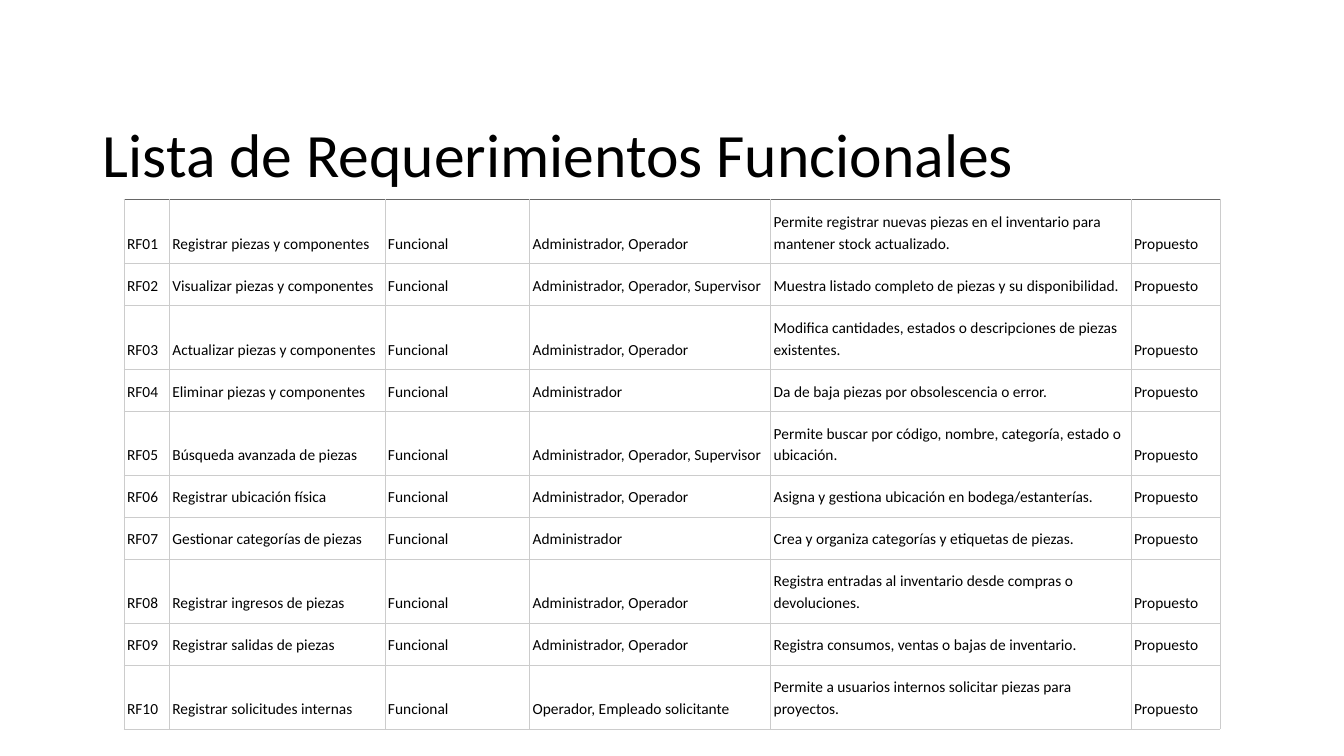
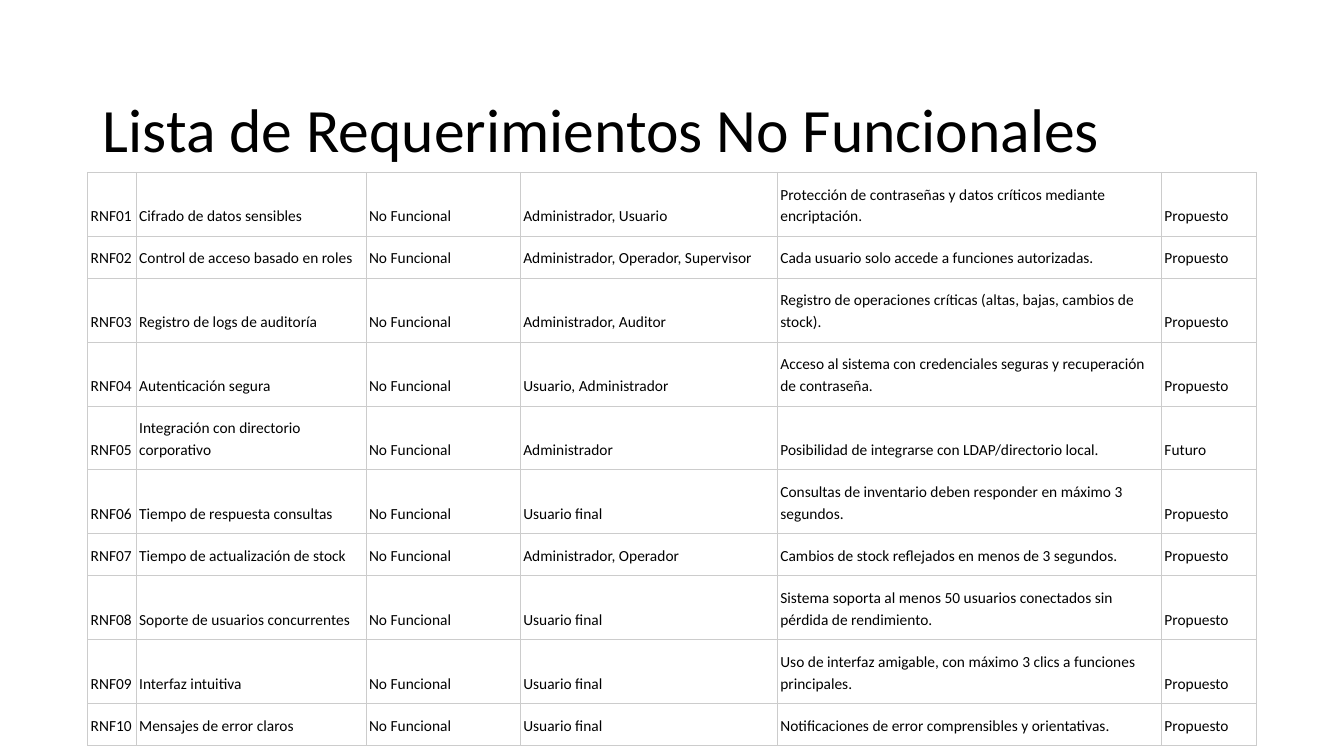
from dataclasses import dataclass

from lxml import etree
from pptx import Presentation
from pptx.dml.color import RGBColor
from pptx.enum.text import MSO_ANCHOR, MSO_AUTO_SIZE, PP_ALIGN
from pptx.oxml.ns import qn
from pptx.util import Inches, Pt

LEFT = PP_ALIGN.LEFT
MIDDLE, BOTTOM = MSO_ANCHOR.MIDDLE, MSO_ANCHOR.BOTTOM
FIXED = MSO_AUTO_SIZE.NONE
TITLE_ONLY = 5


@dataclass(frozen=True)
class Theme:
    font: str = "Calibri"
    ink: str = "000000"
    rule: str = "CCCCCC"
    accent: str = "666666"
    title_size: int = 44
    cell_size: int = 11
    rule_width: float = 0.56
    # Relative column widths: code, name, type, actors, detail, status
    cols: tuple = (48, 228, 153, 255, 381, 94)
    row: float = 0.4


class Deck:
    """Holds the style and the current slide."""

    def __init__(self, theme):
        self.theme = theme
        self.prs = Presentation()
        self.prs.slide_width = Inches(13.33)
        self.prs.slide_height = Inches(7.5)
        self.slide = None

    def style(self, para, size, spacing):
        para.alignment = LEFT
        para.line_spacing = spacing
        para.font.name = self.theme.font
        para.font.size = Pt(size)
        para.font.color.rgb = RGBColor.from_string(self.theme.ink)

    def add_slide(self, title, top, height):
        layout = self.prs.slide_layouts[TITLE_ONLY]
        self.slide = self.prs.slides.add_slide(layout)
        box = self.slide.shapes.title
        box.left, box.top = Inches(0.92), Inches(top)
        box.width, box.height = Inches(11.5), Inches(height)
        frame = box.text_frame
        frame.text = title
        frame.auto_size = FIXED
        frame.vertical_anchor = MIDDLE
        self.style(frame.paragraphs[0], self.theme.title_size, 0.9)

    def borders(self, cell, top):
        props = cell._tc.get_or_add_tcPr()
        rule = self.theme.rule
        for side, color in zip("LRTB", (rule, rule, top, rule)):
            line = etree.SubElement(props, qn(f"a:ln{side}"),
                                    w=str(Pt(self.theme.rule_width)))
            fill = etree.SubElement(line, qn("a:solidFill"))
            etree.SubElement(fill, qn("a:srgbClr"), val=color)

    def fill_cell(self, cell, text, top):
        self.borders(cell, top)
        cell.fill.background()
        cell.margin_left = cell.margin_right = Inches(0.03)
        cell.margin_top = cell.margin_bottom = Inches(0.1)
        cell.vertical_anchor = BOTTOM
        cell.text = text
        self.style(cell.text_frame.paragraphs[0], self.theme.cell_size, 1.15)

    def add_list(self, prefix, kind, rows, left, top, width, edge):
        cols = self.theme.cols
        table = self.slide.shapes.add_table(
            len(rows), len(cols), Inches(left), Inches(top),
            Inches(width), Inches(self.theme.row * len(rows))).table
        table.first_row = table.horz_banding = False
        for col, share in zip(table.columns, cols):
            col.width = Inches(width * share / sum(cols))
        for r, (name, actors, detail, *state) in enumerate(rows):
            status = state[0] if state else "Propuesto"
            texts = (f"{prefix}{r + 1:02}", name, kind, actors, detail, status)
            for c, text in enumerate(texts):
                self.fill_cell(table.cell(r, c), text,
                               self.theme.rule if r else edge)


# Each row: name, actors, detail and, where not "Propuesto", status
FUNCTIONAL = [
    ("Registrar piezas y componentes", "Administrador, Operador",
     "Permite registrar nuevas piezas en el inventario para mantener stock actualizado."),
    ("Visualizar piezas y componentes", "Administrador, Operador, Supervisor",
     "Muestra listado completo de piezas y su disponibilidad."),
    ("Actualizar piezas y componentes", "Administrador, Operador",
     "Modifica cantidades, estados o descripciones de piezas existentes."),
    ("Eliminar piezas y componentes", "Administrador",
     "Da de baja piezas por obsolescencia o error."),
    ("Búsqueda avanzada de piezas", "Administrador, Operador, Supervisor",
     "Permite buscar por código, nombre, categoría, estado o ubicación."),
    ("Registrar ubicación física", "Administrador, Operador",
     "Asigna y gestiona ubicación en bodega/estanterías."),
    ("Gestionar categorías de piezas", "Administrador",
     "Crea y organiza categorías y etiquetas de piezas."),
    ("Registrar ingresos de piezas", "Administrador, Operador",
     "Registra entradas al inventario desde compras o devoluciones."),
    ("Registrar salidas de piezas", "Administrador, Operador",
     "Registra consumos, ventas o bajas de inventario."),
    ("Registrar solicitudes internas", "Operador, Empleado solicitante",
     "Permite a usuarios internos solicitar piezas para proyectos."),
]

QUALITY = [
    ("Cifrado de datos sensibles", "Administrador, Usuario",
     "Protección de contraseñas y datos críticos mediante encriptación."),
    ("Control de acceso basado en roles", "Administrador, Operador, Supervisor",
     "Cada usuario solo accede a funciones autorizadas."),
    ("Registro de logs de auditoría", "Administrador, Auditor",
     "Registro de operaciones críticas (altas, bajas, cambios de stock)."),
    ("Autenticación segura", "Usuario, Administrador",
     "Acceso al sistema con credenciales seguras y recuperación de contraseña."),
    ("Integración con directorio corporativo", "Administrador",
     "Posibilidad de integrarse con LDAP/directorio local.", "Futuro"),
    ("Tiempo de respuesta consultas", "Usuario final",
     "Consultas de inventario deben responder en máximo 3 segundos."),
    ("Tiempo de actualización de stock", "Administrador, Operador",
     "Cambios de stock reflejados en menos de 3 segundos."),
    ("Soporte de usuarios concurrentes", "Usuario final",
     "Sistema soporta al menos 50 usuarios conectados sin pérdida de rendimiento."),
    ("Interfaz intuitiva", "Usuario final",
     "Uso de interfaz amigable, con máximo 3 clics a funciones principales."),
    ("Mensajes de error claros", "Usuario final",
     "Notificaciones de error comprensibles y orientativas."),
]


def main():
    theme = Theme()
    deck = Deck(theme)

    # Functional requirements
    deck.add_slide("Lista de Requerimientos Funcionales", 1.15, 0.82)
    deck.add_list("RF", "Funcional", FUNCTIONAL, 1.23, 1.98, 10.87, theme.accent)

    # Non-functional requirements
    deck.add_slide("Lista de Requerimientos No Funcionales", 0.92, 0.79)
    deck.add_list("RNF", "No Funcional", QUALITY, 0.87, 1.71, 11.59, theme.rule)

    deck.prs.save("out.pptx")


if __name__ == "__main__":
    main()
